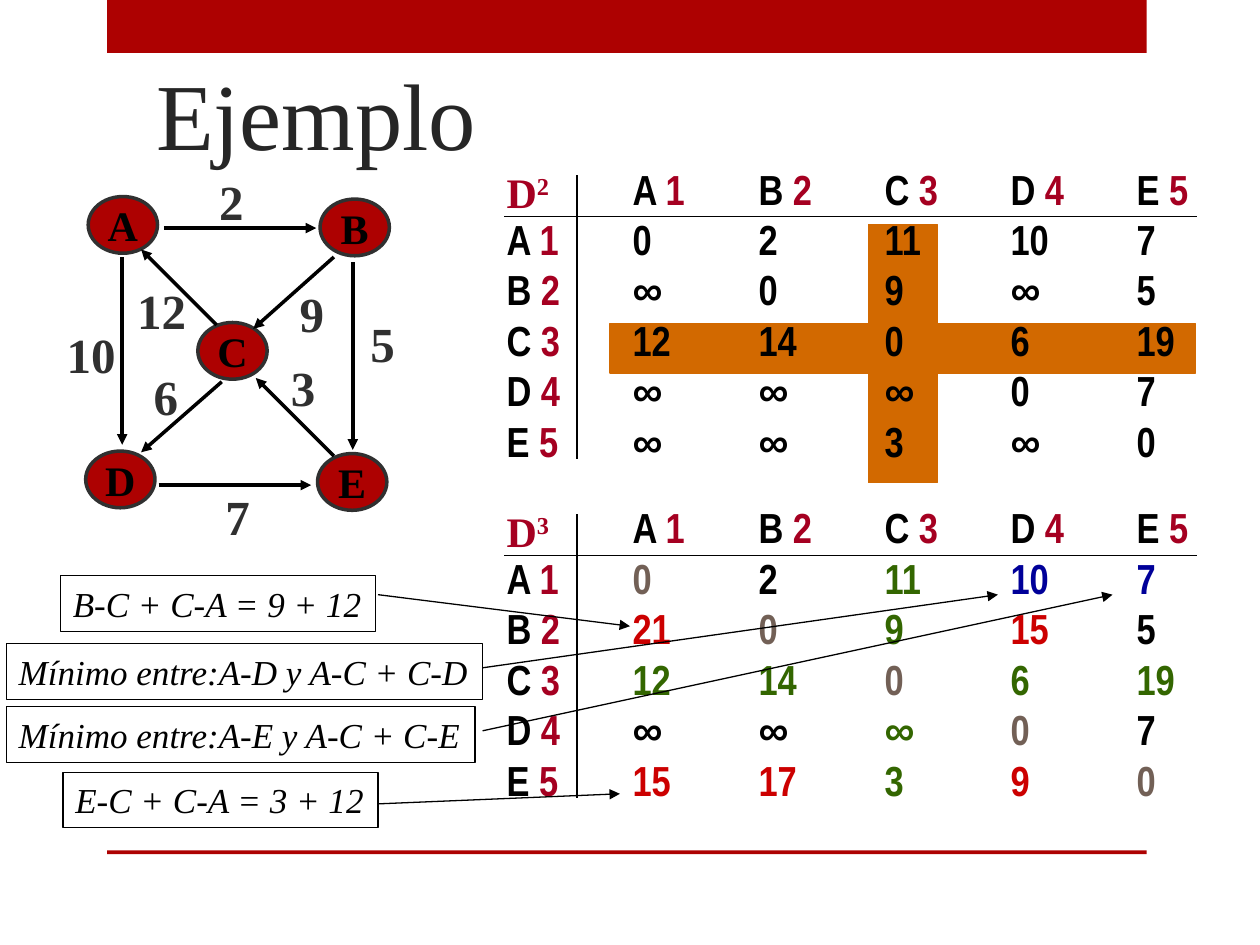
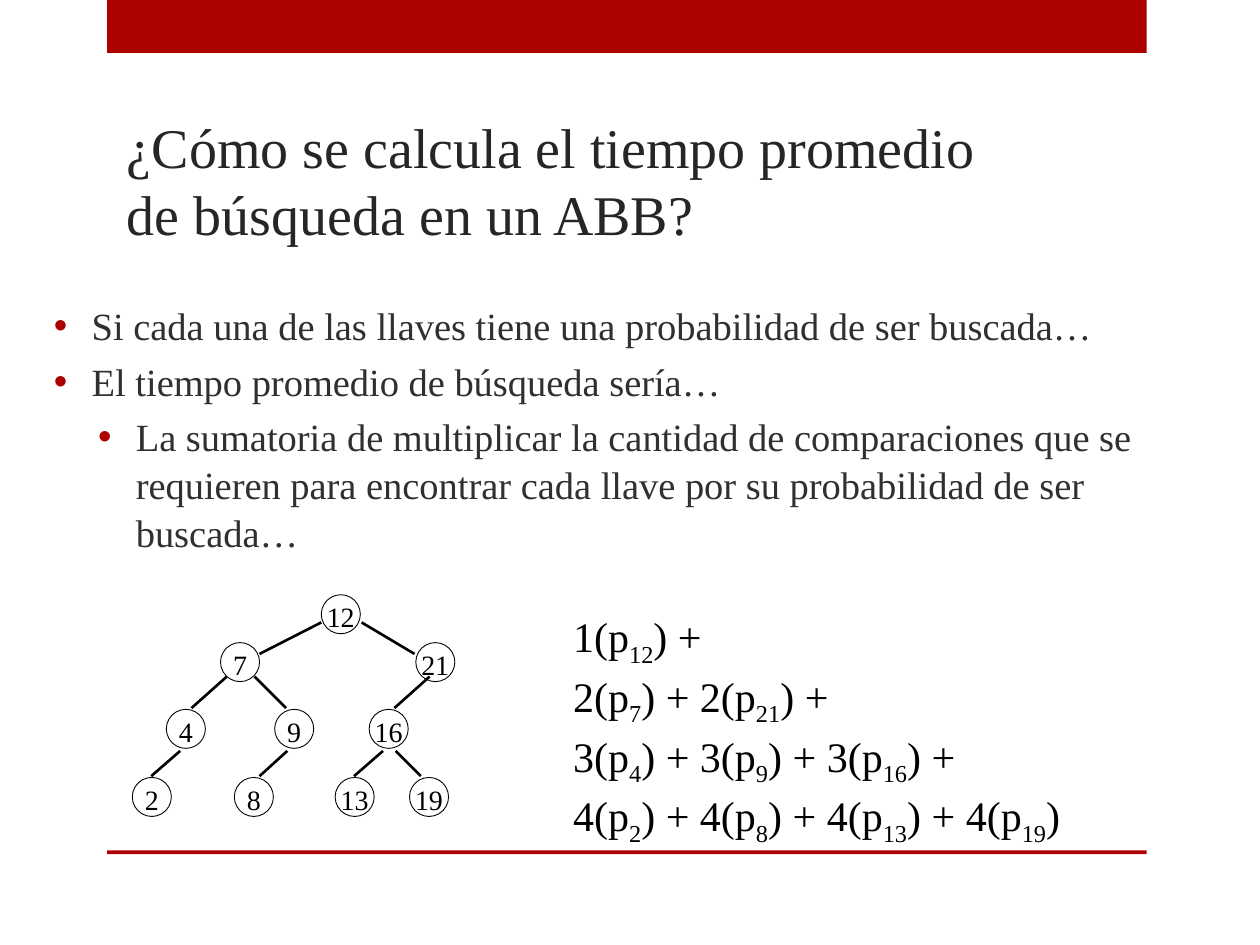
from lxml.etree import SubElement
from pptx import Presentation
from pptx.dml.color import RGBColor
from pptx.enum.shapes import MSO_CONNECTOR as Connector, MSO_SHAPE as Shape
from pptx.enum.text import MSO_ANCHOR as Anchor, PP_ALIGN as Align
from pptx.oxml.ns import qn
from pptx.util import Cm, Pt

# Shared style
SERIF, NARROW = "Times New Roman", "Arial Narrow"
RED, ORANGE, CRIMSON = "AD0101", "D26900", "A50021"
BLACK, TITLE_GRAY, TEXT_GRAY = "000000", "262626", "303030"
DIAGONAL, PIVOT, IMPROVED, KEPT = "726056", "336600", "CC0000", "000099"
NO_TABLE_STYLE = "{2D5ABB26-0587-4C30-8999-92F81FD0307C}"
INSETS = (0.1, 0.05, 0.1, 0.05)
BANDS = [(0.85, 0, 8.25, 0.42), (0.85, 6.75, 8.25, 0.03)]

# Slide 1: distance matrices (positions in inches)
VERTICES = "ABCDE"
D2 = [["0", "2", "11", "10", "7"],
      ["∞", "0", "9", "∞", "5"],
      ["12", "14", "0", "6", "19"],
      ["∞", "∞", "∞", "0", "7"],
      ["∞", "∞", "3", "∞", "0"]]
D3 = [["0", "2", "11", "10", "7"],
      ["21", "0", "9", "15", "5"],
      ["12", "14", "0", "6", "19"],
      ["∞", "∞", "∞", "0", "7"],
      ["15", "17", "3", "9", "0"]]
PIVOT_INDEX = 2
COMPARED_AND_KEPT = [(0, 3), (0, 4)]
HIGHLIGHTS = [(4.84, 2.57, 4.65, 0.39), (6.89, 1.78, 0.55, 2.05)]
MATRIX_LEFT, COLUMN_WIDTH, LAST_WIDTH, ROW_HEIGHT = 3.92, 1, 0.61, 0.4

# Slide 1: explanations with their arrows
NOTES = [
    ("B-C + C-A = 9 + 12", (0.48, 4.57, 2.5), (3, 4.72), (5, 4.97)),
    ("Mínimo entre:A-D y A-C + C-D", (0.05, 5.11, 3.78), (3.83, 5.3), (7.92, 4.72)),
    ("Mínimo entre:A-E y A-C + C-E", (0.05, 5.61, 3.72), (3.83, 5.8), (8.83, 4.72)),
    ("E-C + C-A = 3 + 12", (0.5, 6.13, 2.5), (3, 6.38), (4.92, 6.3)),
]

# Slide 1: graph
GRAPH_NODES = {"A": (0.7, 1.56), "B": (2.54, 1.58), "C": (1.57, 2.56),
               "D": (0.68, 3.58), "E": (2.52, 3.6)}
GRAPH_EDGES = [  # weight, weight position, arrow start, arrow end
    ("2", (1.64, 1.31), (1.3, 1.81), (2.51, 1.81)),
    ("7", (1.69, 3.81), (1.26, 3.85), (2.47, 3.85)),
    ("5", (2.84, 2.44), (2.8, 2.08), (2.8, 3.57)),
    ("10", (0.43, 2.53), (0.97, 2.04), (0.97, 3.53)),
    ("6", (1.12, 2.86), (1.76, 3.03), (1.12, 3.59)),
    ("9", (2.28, 2.2), (2.65, 2.04), (2.01, 2.61)),
    ("12", (0.99, 2.18), (1.72, 2.58), (1.12, 1.98)),
    ("3", (2.21, 2.79), (2.65, 3.62), (2.03, 3)),
]

# Slide 2: bullets, search tree and formula
BULLETS = [
    (0, "Si cada una de las llaves tiene una probabilidad de ser buscada…"),
    (0, "El tiempo promedio de búsqueda sería…"),
    (1, "La sumatoria de multiplicar la cantidad de comparaciones que se requieren "
        "para encontrar cada llave por su probabilidad de ser buscada…"),
]
TREE_LEVELS = [  # top, {key: left}
    (4.72, {12: 2.55}),
    (5.1, {7: 1.75, 21: 3.3}),
    (5.63, {4: 1.32, 9: 2.18, 16: 2.93}),
    (6.17, {2: 1.05, 8: 1.86, 13: 2.66, 19: 3.25}),
]
TREE_EDGES = [  # top, bottom, (start x, end x) of each branch
    (4.94, 5.19, [(2.55, 2.06), (2.87, 3.29)]),
    (5.37, 5.62, [(1.8, 1.52), (2.02, 2.27), (3.41, 3.13)]),
    (5.96, 6.16, [(1.43, 1.2), (2.28, 2.06), (3.04, 2.81), (3.14, 3.34)]),
]


def inches(*values):
    return [Cm(value * 2.54) for value in values]


def color(hex_string):
    return RGBColor.from_string(hex_string)


def write_text(frame, paragraphs, size=24, font=SERIF, ink=BLACK, bold=False,
               italic=False, align=Align.LEFT, anchor=Anchor.TOP, wrap=False,
               insets=INSETS, spacing=1.0):
    """Each paragraph is a list of (text, overrides) runs, or a plain string."""
    # A table cell keeps its margins and anchor itself
    if wrap is not None:
        frame.word_wrap = wrap
        frame.vertical_anchor = anchor
        (frame.margin_left, frame.margin_top,
         frame.margin_right, frame.margin_bottom) = inches(*insets)
    for index, runs in enumerate(paragraphs):
        paragraph = frame.add_paragraph() if index else frame.paragraphs[0]
        paragraph.alignment = align
        paragraph.line_spacing = spacing
        for text, changes in [(runs, {})] if isinstance(runs, str) else runs:
            run = paragraph.add_run()
            run.text = text
            run.font.size = Pt(size)
            run.font.name = changes.get("font", font)
            run.font.bold = bold
            run.font.italic = italic
            run.font.color.rgb = color(changes.get("ink", ink))
            if "baseline" in changes:
                run._r.get_or_add_rPr().set("baseline", str(changes["baseline"] * 1000))


def add_text(slide, box, paragraphs, **style):
    shape = slide.shapes.add_textbox(*inches(*box))
    write_text(shape.text_frame, paragraphs, **style)
    return shape


def add_shape(slide, kind, box, fill=None, line=None, width=0.75):
    shape = slide.shapes.add_shape(kind, *inches(*box))
    shape.shadow.inherit = False
    if fill:
        shape.fill.solid()
        shape.fill.fore_color.rgb = color(fill)
    else:
        shape.fill.background()
    if line:
        shape.line.color.rgb = color(line)
        shape.line.width = Pt(width)
    else:
        shape.line.fill.background()
    return shape


def add_line(slide, start, end, width=0.75, arrow=False):
    connector = slide.shapes.add_connector(Connector.STRAIGHT, *inches(*start, *end))
    connector.line.color.rgb = color(BLACK)
    connector.line.width = Pt(width)
    if arrow:
        SubElement(connector.line._get_or_add_ln(), qn("a:tailEnd"), type="triangle")
    SubElement(connector._element.spPr, qn("a:effectLst"))


def add_slide(presentation, title, box, size):
    slide = presentation.slides.add_slide(presentation.slide_layouts[6])
    for band in BANDS:
        add_shape(slide, Shape.RECTANGLE, band, fill=RED)
    add_text(slide, box, [title], size=size, ink=TITLE_GRAY, anchor=Anchor.BOTTOM, wrap=True)
    return slide


def vertex_label(index):
    return [(VERTICES[index] + " ", {}), (str(index + 1), {"ink": CRIMSON})]


def improved_ink(row, column):
    if row == column:
        return DIAGONAL
    if PIVOT_INDEX in (row, column):
        return PIVOT
    if D3[row][column] != D2[row][column]:
        return IMPROVED
    return KEPT if (row, column) in COMPARED_AND_KEPT else BLACK


def add_matrix(slide, top, step, values, ink_of):
    count = len(VERTICES) + 1
    width = COLUMN_WIDTH * (count - 1) + LAST_WIDTH
    frame = slide.shapes.add_table(
        count, count, *inches(MATRIX_LEFT, top, width, ROW_HEIGHT * count))
    table = frame.table
    table.first_row = table.horz_banding = False
    table._tbl.tblPr.find(qn("a:tableStyleId")).text = NO_TABLE_STYLE
    for index in range(count):
        column_width = LAST_WIDTH if index == count - 1 else COLUMN_WIDTH
        table.columns[index].width, table.rows[index].height = inches(column_width, ROW_HEIGHT)

    name = {"font": SERIF, "ink": CRIMSON}
    for row in range(count):
        for column in range(count):
            if row and column:
                runs = [(values[row - 1][column - 1], {"ink": ink_of(row - 1, column - 1)})]
            elif row or column:
                runs = vertex_label(max(row, column) - 1)
            else:
                runs = [("D", name), (str(step), {**name, "baseline": 30})]
            cell = table.cell(row, column)
            cell.fill.background()
            cell.vertical_anchor = Anchor.MIDDLE
            cell.margin_left, cell.margin_top, cell.margin_right, cell.margin_bottom = inches(
                0.1, 0, 0, 0)
            write_text(cell.text_frame, [runs], font=NARROW, bold=True, wrap=None)

    # Rules under the heading row and beside the heading column
    add_line(slide, (4, top + 0.38), (9.5, top + 0.38))
    add_line(slide, (4.58, top + 0.05), (4.58, top + 2.3))


def build_example(presentation):
    slide = add_slide(presentation, "Ejemplo", (1.14, 0.14, 7.68, 1.25), 54)
    for box in HIGHLIGHTS:
        add_shape(slide, Shape.RECTANGLE, box, fill=ORANGE, line=ORANGE)
    add_matrix(slide, 4.03, 3, D3, improved_ink)
    add_matrix(slide, 1.34, 2, D2, lambda row, column: BLACK)

    for text, (left, top, width), start, end in NOTES:
        note = add_shape(slide, Shape.RECTANGLE, (left, top, width, 0.44), line=BLACK)
        write_text(note.text_frame, [text], size=20, italic=True)
        add_line(slide, start, end, arrow=True)

    for letter, position in GRAPH_NODES.items():
        node = add_shape(slide, Shape.OVAL, (*position, 0.55, 0.45), RED, TEXT_GRAY, 2)
        write_text(node.text_frame, [letter], bold=True, align=Align.CENTER,
                   anchor=Anchor.MIDDLE)
    for weight, position, start, end in GRAPH_EDGES:
        add_line(slide, start, end, width=2, arrow=True)
        add_text(slide, (*position, 0.19 + 0.2 * len(weight), 0.56), [weight],
                 size=28, bold=True, ink=TEXT_GRAY)


def add_bullets(slide, box):
    body = add_text(slide, box, [text for _, text in BULLETS], size=22, ink=TEXT_GRAY,
                    anchor=Anchor.MIDDLE, wrap=True, spacing=1.04)
    for index, (level, _) in enumerate(BULLETS):
        paragraph = body.text_frame.paragraphs[index]
        paragraph.level = level
        if index:
            paragraph.space_before = Pt(4.4)
        properties = paragraph._p.get_or_add_pPr()
        indent, hanging = inches(0.3 + 0.35 * level, -0.3)
        properties.set("marL", str(indent))
        properties.set("indent", str(hanging))
        bullet_color = SubElement(properties, qn("a:buClr"))
        SubElement(bullet_color, qn("a:srgbClr"), val=RED)
        SubElement(properties, qn("a:buFont"), typeface="Arial")
        SubElement(properties, qn("a:buChar"), char="•")


def formula_line(depth, keys, is_last):
    runs = []
    for position, key in enumerate(keys):
        runs.append((f"{') + ' if position else ''}{depth}(p", {}))
        runs.append((str(key), {"baseline": -25}))
    return runs + [(")" if is_last else ") +", {})]


def build_search_time(presentation):
    slide = add_slide(presentation, "¿Cómo se calcula el tiempo promedio de búsqueda en un ABB?",
                      (0.91, 0.76, 7.33, 1.25), 32)
    add_bullets(slide, (0.33, 2.17, 9.33, 2.45))

    lines = [formula_line(depth, keys, depth == len(TREE_LEVELS))
             for depth, (_, keys) in enumerate(TREE_LEVELS, 1)]
    add_text(slide, (4.45, 4.78, 4.19, 1.72), lines, spacing=1.04)

    for top, bottom, branches in TREE_EDGES:
        for start, end in branches:
            add_line(slide, (start, top), (end, bottom), width=1.5)
    for top, keys in TREE_LEVELS:
        for key, left in keys.items():
            node = add_shape(slide, Shape.OVAL, (left, top, 0.31, 0.31), line=BLACK, width=0.5)
            write_text(node.text_frame, [str(key)], size=16, align=Align.CENTER,
                       anchor=Anchor.MIDDLE, insets=(0, 0.04, 0, 0))


def main():
    presentation = Presentation()
    presentation.slide_width, presentation.slide_height = inches(10, 7.5)
    build_example(presentation)
    build_search_time(presentation)
    presentation.save("out.pptx")


if __name__ == "__main__":
    main()
